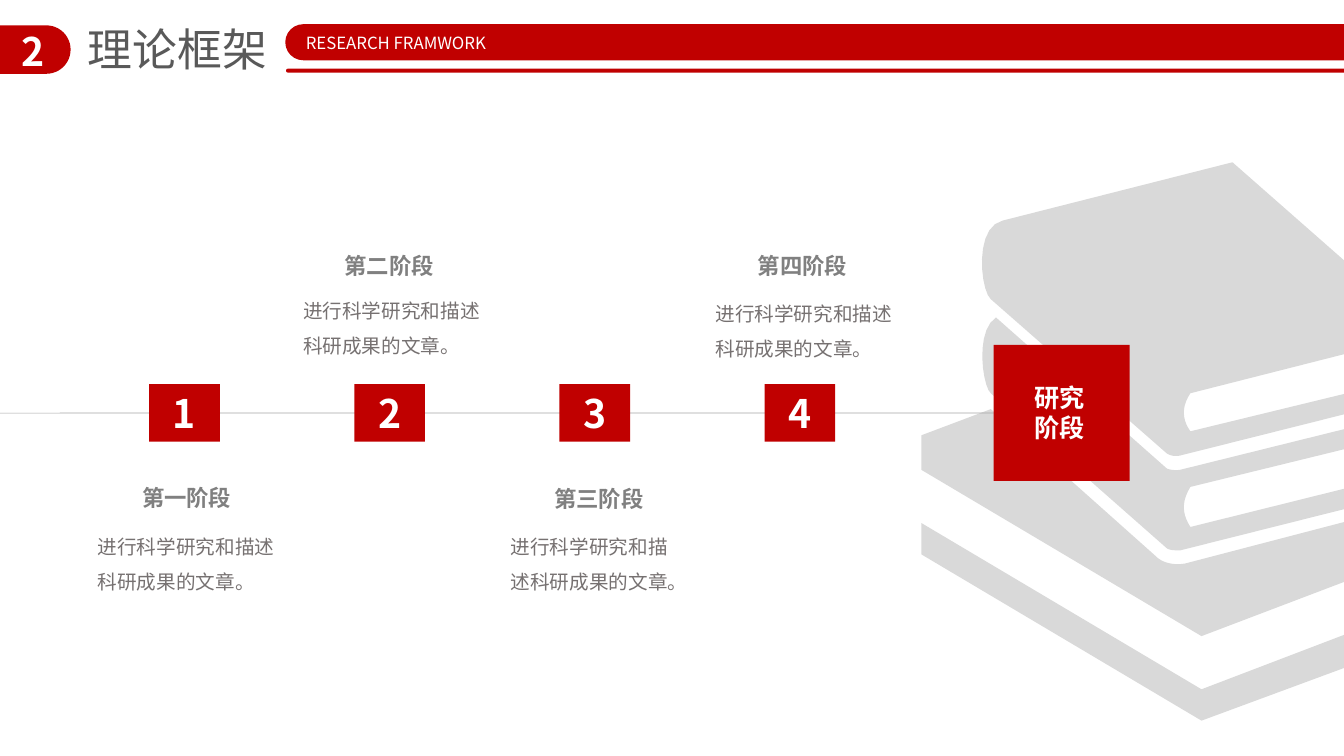
from lxml.etree import SubElement
from pptx import Presentation
from pptx.dml.color import RGBColor
from pptx.enum.shapes import MSO_CONNECTOR, MSO_SHAPE
from pptx.enum.text import MSO_ANCHOR, PP_ALIGN
from pptx.oxml.ns import qn
from pptx.util import Cm, Pt

FONT = "Noto Sans CJK SC"
RED = RGBColor(0xC0, 0x00, 0x00)
WHITE = RGBColor(0xFF, 0xFF, 0xFF)
BOOK_GRAY = RGBColor(0xD9, 0xD9, 0xD9)
LINE_GRAY = RGBColor(0xA6, 0xA6, 0xA6)
TITLE_GRAY = RGBColor(0x59, 0x59, 0x59)
HEAD_GRAY = RGBColor(0x80, 0x80, 0x80)
BODY_GRAY = RGBColor(0x76, 0x71, 0x71)

prs = Presentation()
prs.slide_width = Cm(33.87)
prs.slide_height = Cm(19.05)
s = prs.slides.add_slide(prs.slide_layouts[6])


def add_box(kind, x, y, w, h):
    sp = s.shapes.add_shape(kind, Cm(x), Cm(y), Cm(w), Cm(h))
    sp.shadow.inherit = False
    sp.fill.solid()
    sp.fill.fore_color.rgb = RED
    sp.line.fill.background()
    if kind == MSO_SHAPE.ROUNDED_RECTANGLE:
        sp.adjustments[0] = 0.5
    return sp


def add_text(text, x, y, w, h, size, color, bold=False, wrap=True,
             align=PP_ALIGN.LEFT, spacing=None, sp=None):
    sp = sp or s.shapes.add_textbox(Cm(x), Cm(y), Cm(w), Cm(h))
    tf = sp.text_frame
    tf.word_wrap = wrap
    tf.vertical_anchor = MSO_ANCHOR.MIDDLE
    p = tf.paragraphs[0]
    p.alignment = align
    if spacing:
        p.line_spacing = spacing
    r = p.add_run()
    r.text = text
    r.font.size = Pt(size)
    r.font.bold = bold
    r.font.name = FONT
    r.font.color.rgb = color
    SubElement(r.font._element, qn("a:ea"), typeface=FONT)


# Pairs are corners; six numbers are a Bezier curve.
book_outlines = [
    [(35.51, 10.41), (35.51, 10.92), (30, 12.27),
     (29.77, 12.65, 29.79, 12.95, 30, 13.28), (35.51, 11.91), (35.51, 12.42),
     (29.74, 13.87), (29.62, 13.87, 29.49, 13.87, 29.41, 13.82), (24.97, 9.91),
     (24.77, 9.75, 24.56, 8.36, 25.1, 8), (29.41, 11.81),
     (29.49, 11.84, 29.62, 11.86, 29.74, 11.84)],
    [(25.27, 5.56), (31.06, 4.09), (35.51, 8), (35.51, 8.51), (30, 9.91),
     (29.77, 10.26, 29.79, 10.57, 30, 10.87), (35.51, 9.53), (35.51, 10.03),
     (29.74, 11.48), (29.62, 11.51, 29.49, 11.48, 29.41, 11.43), (24.97, 7.54),
     (24.71, 7.32, 24.54, 5.72, 25.27, 5.56)],
    [(30.28, 17.37), (23.22, 13.18), (23.22, 13.97), (30.28, 18.16),
     (34.34, 16.66), (34.34, 15.82)],
    [(36.4, 14.68), (34.7, 15.29), (34.7, 17.81), (35.53, 16.79),
     (36.4, 17.17), (36.4, 15.9), (37.13, 15.62),
     (37.49, 15.47, 37.62, 15.34, 37.62, 15.01), (37.62, 13.03),
     (37.62, 12.88, 37.54, 12.75, 37.41, 12.67), (35.81, 11.73),
     (35.81, 12.65), (29.87, 14.2), (29.62, 14.25, 29.29, 14.2, 29.11, 14),
     (24.97, 10.31), (23.22, 10.97), (23.22, 11.84), (30.28, 16.03),
     (36.83, 13.54), (36.83, 14.86), (36.4, 15.04)],
]
STEPS = 10
books = None
for outline in book_outlines:
    points = [outline[0]]
    for part in outline[1:]:
        if len(part) == 2:
            points.append(part)
            continue
        x0, y0 = points[-1]
        x1, y1, x2, y2, x3, y3 = part
        for i in range(1, STEPS + 1):
            t = i / STEPS
            a, b, c, d = (1 - t) ** 3, 3 * t * (1 - t) ** 2, 3 * t * t * (1 - t), t ** 3
            points.append((a * x0 + b * x1 + c * x2 + d * x3,
                           a * y0 + b * y1 + c * y2 + d * y3))
    points = [(Cm(x), Cm(y)) for x, y in points]
    if books is None:
        books = s.shapes.build_freeform(*points[0])
    else:
        books.move_to(*points[0])
    books.add_line_segments(points[1:], close=True)
sp = books.convert_to_shape()
sp.shadow.inherit = False
sp.fill.solid()
sp.fill.fore_color.rgb = BOOK_GRAY
sp.line.fill.background()

add_box(MSO_SHAPE.ROUNDED_RECTANGLE, -0.71, 0.64, 2.49, 1.22)
add_text("2", 0.18, 0.56, 1.3, 1.45, 28, WHITE, bold=True, align=PP_ALIGN.CENTER)
add_text("理论框架", 1.96, 0.41, 5.08, 1.63, 32, TITLE_GRAY, wrap=False)

timeline = s.shapes.add_connector(MSO_CONNECTOR.STRAIGHT, Cm(-0.36), Cm(10.41), Cm(25.04), Cm(10.41))
timeline.line.color.rgb = LINE_GRAY
timeline.line.width = Pt(0.5)
SubElement(timeline._element.spPr, qn("a:effectLst"))

stages = [
    ("第一阶段", 3.33, 12.07, 2.21, 13.03, 5.05),
    ("第二阶段", 8.43, 6.22, 7.39, 7.09, 5.18),
    ("第三阶段", 13.72, 12.09, 12.62, 13.03, 4.95),
    ("第四阶段", 18.85, 6.22, 17.78, 7.16, 5.26),
]
for i, (name, head_x, head_y, body_x, body_y, body_w) in enumerate(stages):
    add_text(name, head_x, head_y, 2.79, 0.94, 16, HEAD_GRAY, bold=True, wrap=False)
    add_text("进行科学研究和描述科研成果的文章。", body_x, body_y, body_w, 2.06,
             14, BODY_GRAY, spacing=1.5)
    place = (3.76 + 5.17 * i, 9.68, 1.78, 1.45)
    add_text(str(i + 1), *place, 28, WHITE, bold=True, align=PP_ALIGN.CENTER,
             sp=add_box(MSO_SHAPE.RECTANGLE, *place))

goal = add_box(MSO_SHAPE.RECTANGLE, 25.04, 8.69, 3.43, 3.43)
timeline.end_connect(goal, 1)
add_text("研究阶段", 25.81, 9.5, 1.88, 1.8, 18, WHITE, bold=True)

add_box(MSO_SHAPE.ROUNDED_RECTANGLE, 7.19, 0.61, 28.02, 0.91)
add_box(MSO_SHAPE.ROUNDED_RECTANGLE, 7.21, 1.73, 28.02, 0.1)
add_text("RESEARCH FRAMWORK", 7.29, 0.69, 5.38, 0.76, 12, WHITE,
         wrap=False, align=PP_ALIGN.CENTER)

prs.save("out.pptx")
